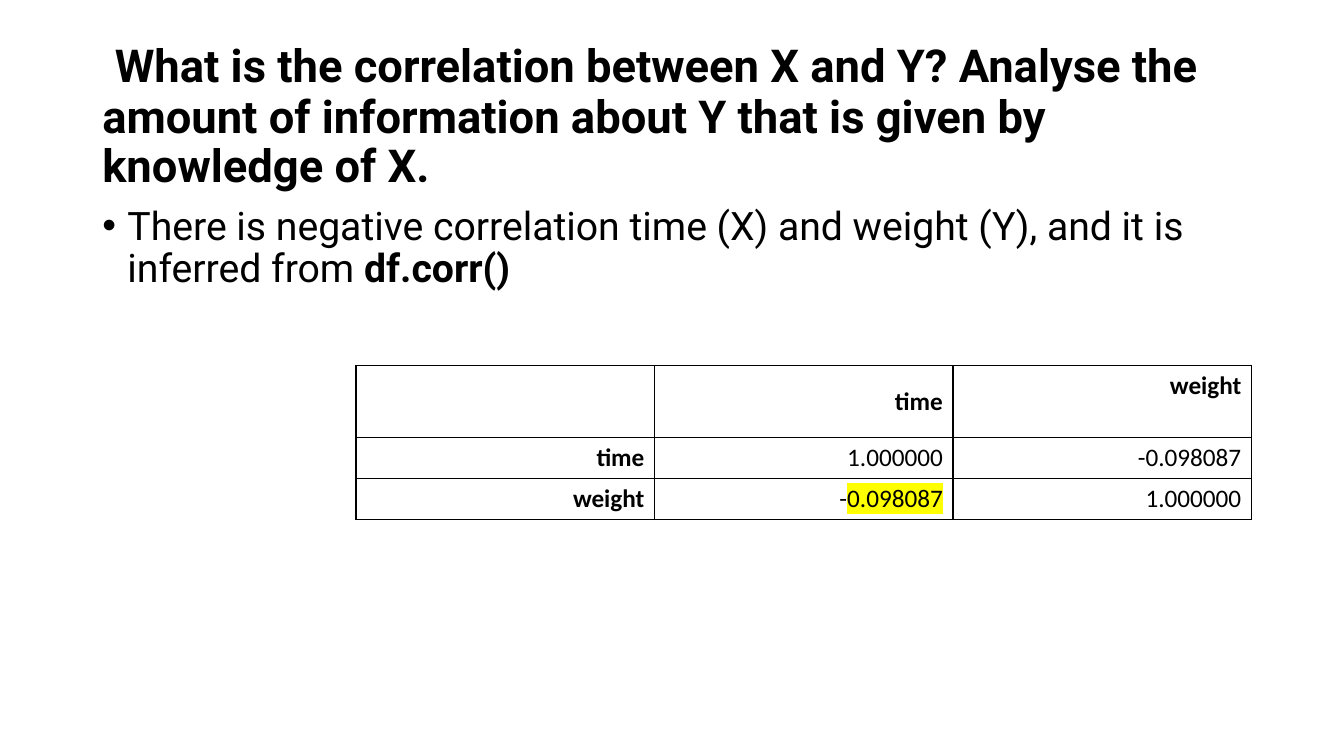
from lxml import etree
from pptx import Presentation
from pptx.dml.color import RGBColor
from pptx.enum.text import MSO_ANCHOR, PP_ALIGN
from pptx.oxml.ns import qn
from pptx.util import Pt

TOP, MIDDLE = MSO_ANCHOR.TOP, MSO_ANCHOR.MIDDLE
LEFT, RIGHT = PP_ALIGN.LEFT, PP_ALIGN.RIGHT
BLACK = RGBColor(0, 0, 0)
YELLOW = RGBColor(255, 255, 0)

# Each span is (text, format)
TITLE = [
    (" ", dict(size=39.6)),
    ("What is the correlation between X and Y? Analyse the amount of "
     "information about Y that is given by knowledge of X.",
     dict(font="Roboto", size=32.4, bold=True)),
]
FINDING = [
    ("There is negative correlation time (X) and weight (Y), and it is "
     "inferred from ", dict(font="Roboto", size=28)),
    ("df.corr()", dict(font="Roboto", size=28, bold=True)),
]
HEADING = dict(bold=True)
CORRELATION = [
    [[("", {})], [("time", HEADING)], [("weight", HEADING)]],
    [[("time", HEADING)], [("1.000000", {})], [("-0.098087", {})]],
    [[("weight", HEADING)],
     [("-", {}), ("0.098087", dict(highlight=YELLOW))],
     [("1.000000", {})]],
]

PAGE_WIDTH, PAGE_HEIGHT = 960, 540
MARGIN = 66
TITLE_TOP, TITLE_HEIGHT = 28.75, 104.4
BODY_TOP, BODY_HEIGHT = 143.75, 342.6
TABLE_LEFT, TABLE_TOP = 254.3, 261
COLUMN_WIDTH = 213.2
ROW_HEIGHTS = [51.4, 29.2, 29.2]
BORDER_WIDTH = 1


def add_span(para, text, font="Calibri", size=18, bold=False, highlight=None):
    span = para.add_run()
    span.text = text
    span.font.name = font
    span.font.size = Pt(size)
    span.font.bold = bold
    span.font.color.rgb = BLACK
    if highlight is not None:
        mark = etree.Element(qn("a:highlight"))
        etree.SubElement(mark, qn("a:srgbClr"), val=str(highlight))
        span.font._element.find(qn("a:solidFill")).addnext(mark)


def fill_para(para, spans, align=LEFT, line_spacing=None, space_before=0):
    para.alignment = align
    para.space_before = Pt(space_before)
    if line_spacing:
        para.line_spacing = line_spacing
    for text, style in spans:
        add_span(para, text, **style)


def add_text(page, spans, top, height, anchor=TOP, **para_format):
    box = page.shapes.add_textbox(Pt(MARGIN), Pt(top),
                                  Pt(PAGE_WIDTH - 2 * MARGIN), Pt(height))
    box.text_frame.word_wrap = True
    box.text_frame.vertical_anchor = anchor
    para = box.text_frame.paragraphs[0]
    fill_para(para, spans, **para_format)
    return para


def add_bullet(para, indent):
    properties = para._p.get_or_add_pPr()
    properties.set("marL", str(Pt(indent)))
    properties.set("indent", str(Pt(-indent)))
    etree.SubElement(properties, qn("a:buFont"), typeface="Arial")
    etree.SubElement(properties, qn("a:buChar"), char="•")


def add_borders(cell):
    properties = cell._tc.get_or_add_tcPr()
    for position, side in enumerate(("lnL", "lnR", "lnT", "lnB")):
        line = etree.Element(qn(f"a:{side}"), w=str(Pt(BORDER_WIDTH)))
        fill = etree.SubElement(line, qn("a:solidFill"))
        etree.SubElement(fill, qn("a:srgbClr"), val=str(BLACK))
        properties.insert(position, line)


def add_correlation_table(page):
    columns = len(CORRELATION[0])
    table = page.shapes.add_table(
        len(CORRELATION), columns, Pt(TABLE_LEFT), Pt(TABLE_TOP),
        Pt(columns * COLUMN_WIDTH), Pt(sum(ROW_HEIGHTS))).table
    table.first_row = table.horz_banding = False
    for column in table.columns:
        column.width = Pt(COLUMN_WIDTH)
    for row_index, row in enumerate(CORRELATION):
        table.rows[row_index].height = Pt(ROW_HEIGHTS[row_index])
        for column_index, spans in enumerate(row):
            cell = table.cell(row_index, column_index)
            cell.fill.background()
            add_borders(cell)
            last_heading = row_index == 0 and column_index == columns - 1
            cell.vertical_anchor = TOP if last_heading else MIDDLE
            fill_para(cell.text_frame.paragraphs[0], spans, align=RIGHT)


def main():
    deck = Presentation()
    deck.slide_width, deck.slide_height = Pt(PAGE_WIDTH), Pt(PAGE_HEIGHT)
    page = deck.slides.add_slide(deck.slide_layouts[6])
    add_text(page, TITLE, TITLE_TOP, TITLE_HEIGHT, anchor=MIDDLE,
             line_spacing=0.9)
    finding = add_text(page, FINDING, BODY_TOP, BODY_HEIGHT,
                       line_spacing=0.9, space_before=10)
    add_bullet(finding, indent=18)
    add_correlation_table(page)
    deck.save("out.pptx")


if __name__ == "__main__":
    main()
